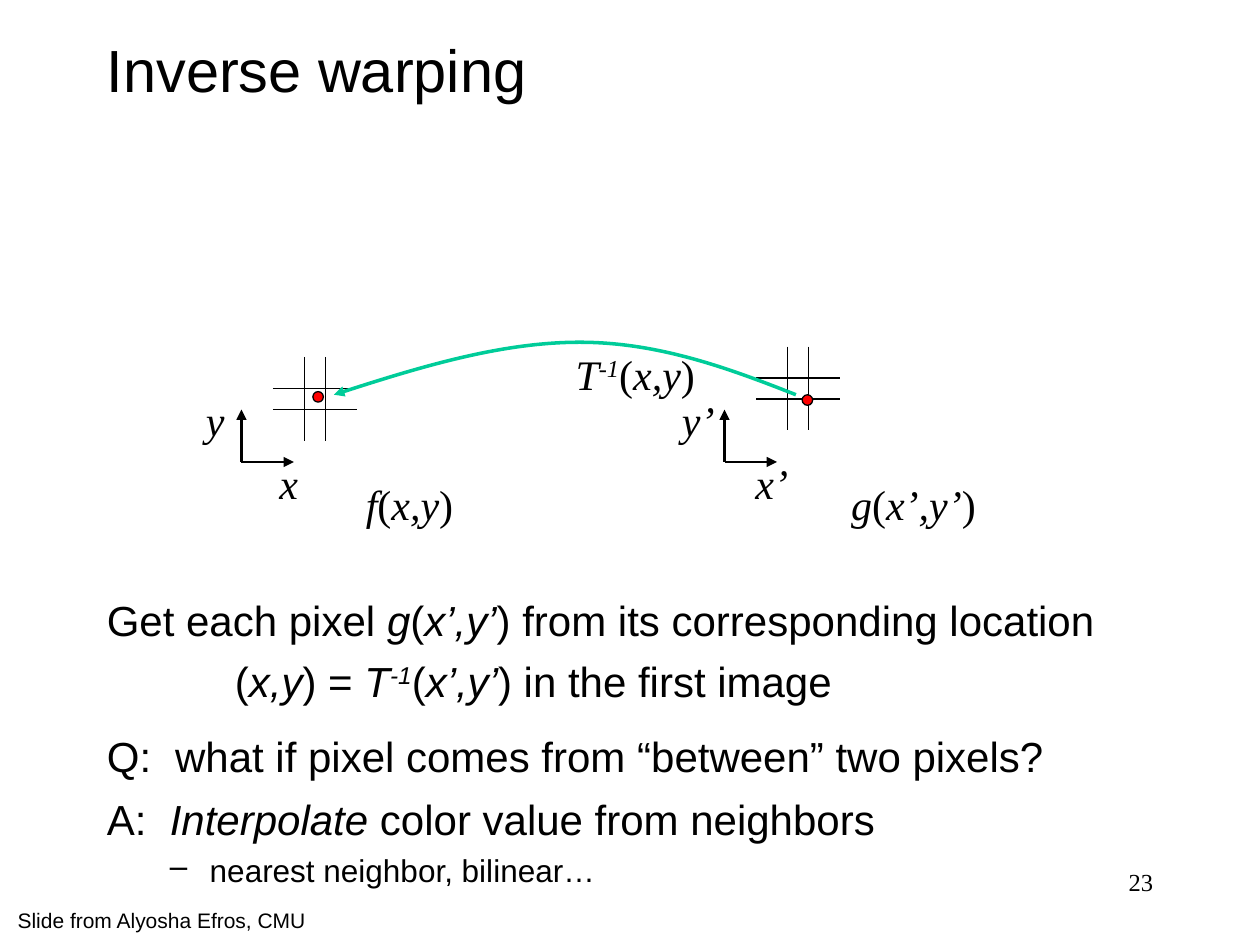
from dataclasses import dataclass

from lxml import etree
from pptx import Presentation
from pptx import util as u
from pptx.dml.color import RGBColor
from pptx.enum import shapes, text
from pptx.oxml.ns import qn

PX = u.Inches(1) // 120  # 120 px to the inch


@dataclass(frozen=True)
class Theme:
    ink: str = "000000"
    curve: str = "00CC99"
    dot: str = "FF0000"
    sans: str = "Arial"
    serif: str = "Times New Roman"
    title: int = 34
    body: int = 24
    detail: int = 18
    number: int = 14
    credit: int = 12


THEME = Theme()


@dataclass(frozen=True)
class Run:
    text: str
    italic: bool = False
    raised: bool = False


@dataclass(frozen=True)
class Line:
    runs: tuple[Run, ...]
    size: int = THEME.body
    font: str = THEME.sans
    align: text.PP_ALIGN = text.PP_ALIGN.LEFT
    margin: int = 0
    indent: int = 0
    before: int = 0
    bullet: str = ""


@dataclass(frozen=True)
class Box:
    left: int
    top: int
    width: int
    height: int
    lines: tuple[Line, ...]
    anchor: text.MSO_ANCHOR = text.MSO_ANCHOR.TOP


@dataclass(frozen=True)
class Patch:
    """Crossing pixel lines, with the axes and the sample dot beside them."""
    grid: tuple[int, int]
    origin: tuple[int, int]
    dot: tuple[int, int]


def roman(words: str) -> Run:
    return Run(words)


def italic(words: str) -> Run:
    return Run(words, italic=True)


def call(name: str, arguments: str) -> tuple[Run, ...]:
    return italic(name), roman("("), italic(arguments), roman(")")


INVERSE = (italic("T"), Run("-1", italic=True, raised=True))


def math_box(left: int, top: int, width: int, *runs: Run) -> Box:
    line = Line(runs, font=THEME.serif, align=text.PP_ALIGN.CENTER)
    return Box(left, top, width, 60, (line,))


def add_box(slide, box: Box) -> None:
    shape = slide.shapes.add_textbox(
        box.left * PX, box.top * PX, box.width * PX, box.height * PX)
    frame = shape.text_frame
    frame.word_wrap = True
    frame.vertical_anchor = box.anchor
    for index, line in enumerate(box.lines):
        paragraph = frame.add_paragraph() if index else frame.paragraphs[0]
        add_line(paragraph, line)


def add_line(paragraph, line: Line) -> None:
    paragraph.alignment = line.align
    paragraph.space_before = u.Pt(line.before)
    properties = paragraph._p.get_or_add_pPr()
    properties.set("marL", str(line.margin * PX))
    properties.set("indent", str(line.indent * PX))
    if line.bullet:
        etree.SubElement(properties, qn("a:buChar"), char=line.bullet)
    for part in line.runs:
        run = paragraph.add_run()
        run.text = part.text
        run.font.name = line.font
        run.font.size = u.Pt(line.size)
        run.font.italic = part.italic
        run.font.color.rgb = RGBColor.from_string(THEME.ink)
        if part.raised:
            run._r.get_or_add_rPr().set("baseline", "30000")


def set_line(shape, color: str, width: float, arrow: str = "") -> None:
    shape.line.color.rgb = RGBColor.from_string(color)
    shape.line.width = u.Pt(width)
    if arrow:
        outline = shape._element.spPr.find(qn("a:ln"))
        etree.SubElement(outline, qn(f"a:{arrow}"), type="triangle")


def add_straight(slide, start: tuple[int, int], end: tuple[int, int],
                 width: float, arrow: str = "") -> None:
    connector = slide.shapes.add_connector(
        shapes.MSO_CONNECTOR.STRAIGHT, *(value * PX for value in start + end))
    set_line(connector, THEME.ink, width, arrow)
    etree.SubElement(connector._element.spPr, qn("a:effectLst"))


def add_patch(slide, patch: Patch) -> None:
    left, top = patch.grid
    for offset in (30, 50):
        add_straight(slide, (left + offset, top), (left + offset, top + 80), 0.75)
        add_straight(slide, (left, top + offset), (left + 80, top + offset), 0.75)
    x, y = patch.origin
    for tip in ((x, y - 50), (x + 50, y)):
        add_straight(slide, patch.origin, tip, 1.5, "tailEnd")


def add_dot(slide, patch: Patch) -> None:
    left, top = patch.dot
    dot = slide.shapes.add_shape(
        shapes.MSO_SHAPE.OVAL, left * PX, top * PX, 10 * PX, 10 * PX)
    dot.shadow.inherit = False
    dot.fill.solid()
    dot.fill.fore_color.rgb = RGBColor.from_string(THEME.dot)
    set_line(dot, THEME.ink, 0.75)


def add_curve(slide, points: list[tuple[int, int]]) -> None:
    """Start point, then three Bezier points for each segment."""
    builder = slide.shapes.build_freeform(*points[0], scale=PX)
    builder.add_line_segments(points[1:], close=False)
    curve = builder.convert_to_shape()
    curve.shadow.inherit = False
    curve.fill.background()
    set_line(curve, THEME.curve, 2, "headEnd")
    # Merge each three straight segments into one cubic segment
    segments = list(curve._element.iter(qn("a:lnTo")))
    for first in range(0, len(segments), 3):
        cubic = etree.SubElement(segments[first].getparent(), qn("a:cubicBezTo"))
        for segment in segments[first:first + 3]:
            cubic.append(segment[0])
            segment.getparent().remove(segment)


PATCHES = (
    Patch(grid=(260, 340), origin=(230, 440), dot=(298, 373)),
    Patch(grid=(720, 330), origin=(690, 440), dot=(764, 376)),
)
CURVE = [(318, 376), (398, 350), (479, 326), (552, 326),
         (626, 326), (692, 350), (758, 376)]

BOXES = (
    # Title
    Box(90, 10, 1020, 110, (Line((roman("Inverse warping"),), THEME.title),),
        text.MSO_ANCHOR.MIDDLE),
    # Diagram labels
    math_box(320, 450, 140, *call("f", "x,y")),
    math_box(780, 450, 180, *call("g", "x’,y’")),
    math_box(160, 370, 90, italic("y")),
    math_box(230, 430, 90, italic("x")),
    math_box(620, 370, 90, italic("y’")),
    math_box(690, 430, 90, italic("x’")),
    math_box(530, 326, 150, *INVERSE, roman("("), italic("x,y"), roman(")")),
    # Explanation, question and answer
    Box(90, 560, 1020, 130, (
        Line((roman("Get each pixel "), *call("g", "x’,y’"),
              roman(" from its corresponding location"))),
        Line((roman("("), italic("x,y"), roman(") = "), *INVERSE, roman("("),
              italic("x’,y’"), roman(") in the first image")),
             margin=122, before=6))),
    Box(90, 690, 1050, 60, (
        Line((roman("Q:\twhat if pixel comes from “between” two pixels?"),),
             margin=65, indent=-65),)),
    Box(90, 750, 1020, 120, (
        Line((roman("A:\t"), italic("Interpolate"),
              roman(" color value from neighbors")), margin=60, indent=-60),
        Line((roman("nearest neighbor, bilinear…"),), THEME.detail,
             margin=98, indent=-38, before=4, bullet="–"))),
    # Credit and slide number
    Box(5, 858, 322, 36,
        (Line((roman("Slide from Alyosha Efros, CMU"),), THEME.credit),)),
    Box(860, 820, 250, 60,
        (Line((roman("23"),), THEME.number, THEME.serif, text.PP_ALIGN.RIGHT),)),
)


def main() -> None:
    presentation = Presentation()
    presentation.slide_width, presentation.slide_height = 1200 * PX, 900 * PX
    slide = presentation.slides.add_slide(presentation.slide_layouts[6])
    for patch in PATCHES:
        add_patch(slide, patch)
    for box in BOXES:
        add_box(slide, box)
    add_curve(slide, CURVE)
    for patch in PATCHES:
        add_dot(slide, patch)
    presentation.save("out.pptx")


if __name__ == "__main__":
    main()
